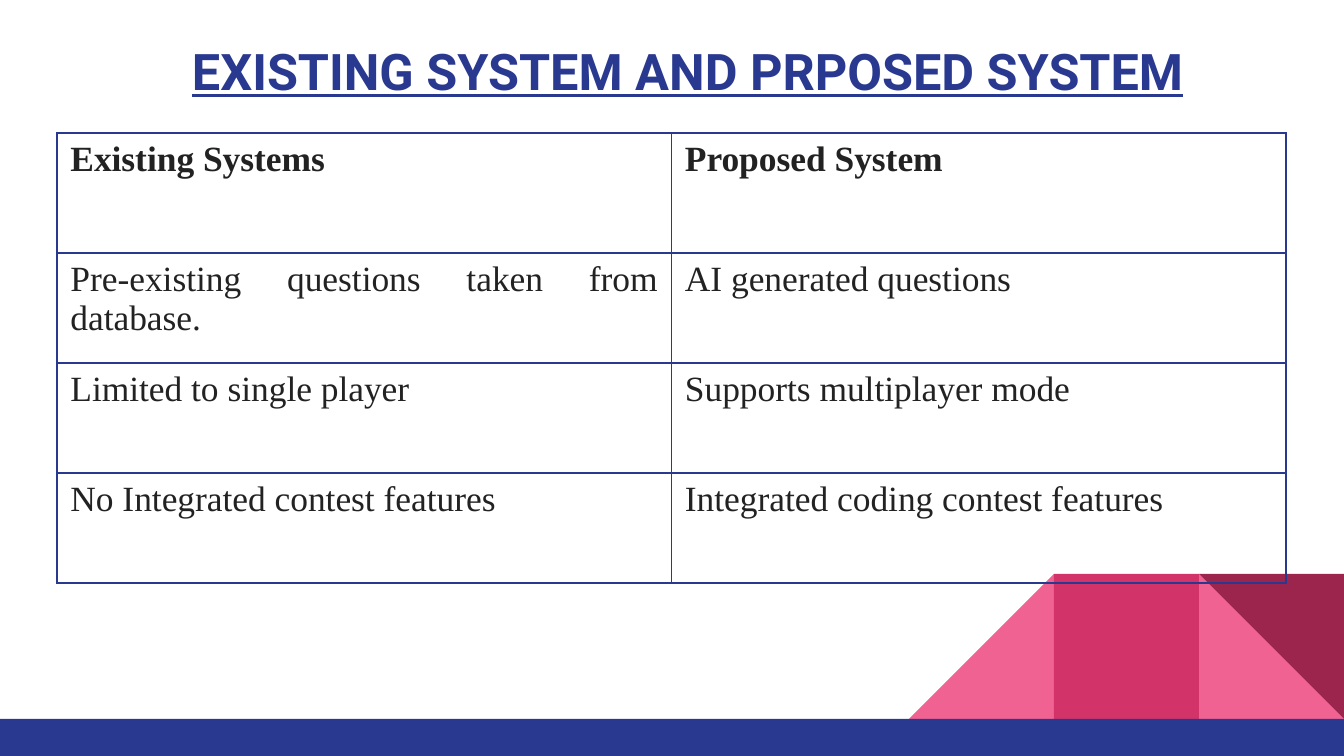
from dataclasses import dataclass

from lxml.etree import SubElement
from pptx import Presentation
from pptx.dml.color import RGBColor as RGB
from pptx.enum.shapes import MSO_SHAPE as Shape
from pptx.enum.text import PP_ALIGN as Align
from pptx.oxml.ns import qn
from pptx.util import Pt

SLIDE_W, SLIDE_H = 1344, 756
EMU_PER_PX = 9144000 / SLIDE_W


@dataclass(frozen=True)
class Theme:
    navy: str = "2A3990"
    ink: str = "222222"
    pink: str = "F06292"
    rose: str = "D23369"
    wine: str = "9C254D"
    title_font: str = "Roboto"
    body_font: str = "Times New Roman"
    title_size: int = 27
    body_size: int = 19
    border: int = 1


THEME = Theme()

COMPARISON = [
    ("Existing Systems", "Proposed System"),
    ("Pre-existing questions taken from database.", "AI generated questions"),
    ("Limited to single player", "Supports multiplayer mode"),
    ("No Integrated contest features", "Integrated coding contest features"),
]


def px(length):
    return round(length * EMU_PER_PX)


def style_font(font, name, size, color, bold):
    font.name, font.size, font.bold = name, Pt(size), bold
    font.color.rgb = RGB.from_string(color)


def add_block(slide, kind, box, color):
    block = slide.shapes.add_shape(kind, *map(px, box))
    block.shadow.inherit = False
    block.fill.solid()
    block.fill.fore_color.rgb = RGB.from_string(color)
    block.line.fill.background()
    return block


def add_decoration(slide):
    side, top, right = 145, 574, SLIDE_W
    last, middle, first = (right - side * n for n in (1, 2, 3))
    triangle = Shape.RIGHT_TRIANGLE
    add_block(slide, triangle, (last, top, side, side), THEME.pink)
    slope = add_block(slide, triangle, (first, top, side, side), THEME.pink)
    slope._element.spPr.xfrm.set("flipH", "1")
    add_block(slide, Shape.RECTANGLE, (middle, top, side, side), THEME.rose)
    corner = add_block(slide, triangle, (last, top, side, side), THEME.wine)
    corner.rotation = 180

    # Footer band
    floor = top + side
    add_block(slide, Shape.RECTANGLE, (0, floor, SLIDE_W, SLIDE_H - floor), THEME.navy)


def add_title(slide, text):
    frame = slide.shapes.add_textbox(px(52), px(27), px(1253), px(89)).text_frame
    frame.word_wrap = True
    frame.margin_left = px(140)
    frame.margin_top = frame.margin_right = frame.margin_bottom = px(13)
    heading = frame.paragraphs[0]
    heading.text = text
    style_font(heading.font, THEME.title_font, THEME.title_size, THEME.navy, True)
    heading.font.underline = True


def set_borders(cell):
    properties = cell._tc.get_or_add_tcPr()
    for index, side in enumerate(("a:lnL", "a:lnR", "a:lnT", "a:lnB")):
        line = SubElement(properties, qn(side), w=str(Pt(THEME.border)))
        fill = SubElement(line, qn("a:solidFill"))
        SubElement(fill, qn("a:srgbClr"), val=THEME.navy)
        properties.insert(index, line)  # borders come before the fill


def add_comparison(slide, rows):
    header_h, row_h = 120, 110
    height = header_h + row_h * (len(rows) - 1)
    table = slide.shapes.add_table(
        len(rows), 2, px(57), px(133), px(1229), px(height)
    ).table
    table.first_row = table.horz_banding = False
    for row_index, texts in enumerate(rows):
        is_header = row_index == 0
        table.rows[row_index].height = px(header_h if is_header else row_h)
        for column, text in enumerate(texts):
            cell = table.cell(row_index, column)
            cell.fill.background()
            set_borders(cell)
            entry = cell.text_frame.paragraphs[0]
            entry.text = text
            entry.alignment = Align.JUSTIFY
            style_font(entry.font, THEME.body_font, THEME.body_size, THEME.ink, is_header)


def main():
    deck = Presentation()
    deck.slide_width, deck.slide_height = px(SLIDE_W), px(SLIDE_H)
    slide = deck.slides.add_slide(deck.slide_layouts[6])
    add_decoration(slide)
    add_title(slide, "EXISTING SYSTEM AND PRPOSED SYSTEM")
    add_comparison(slide, COMPARISON)
    deck.save("out.pptx")


if __name__ == "__main__":
    main()
